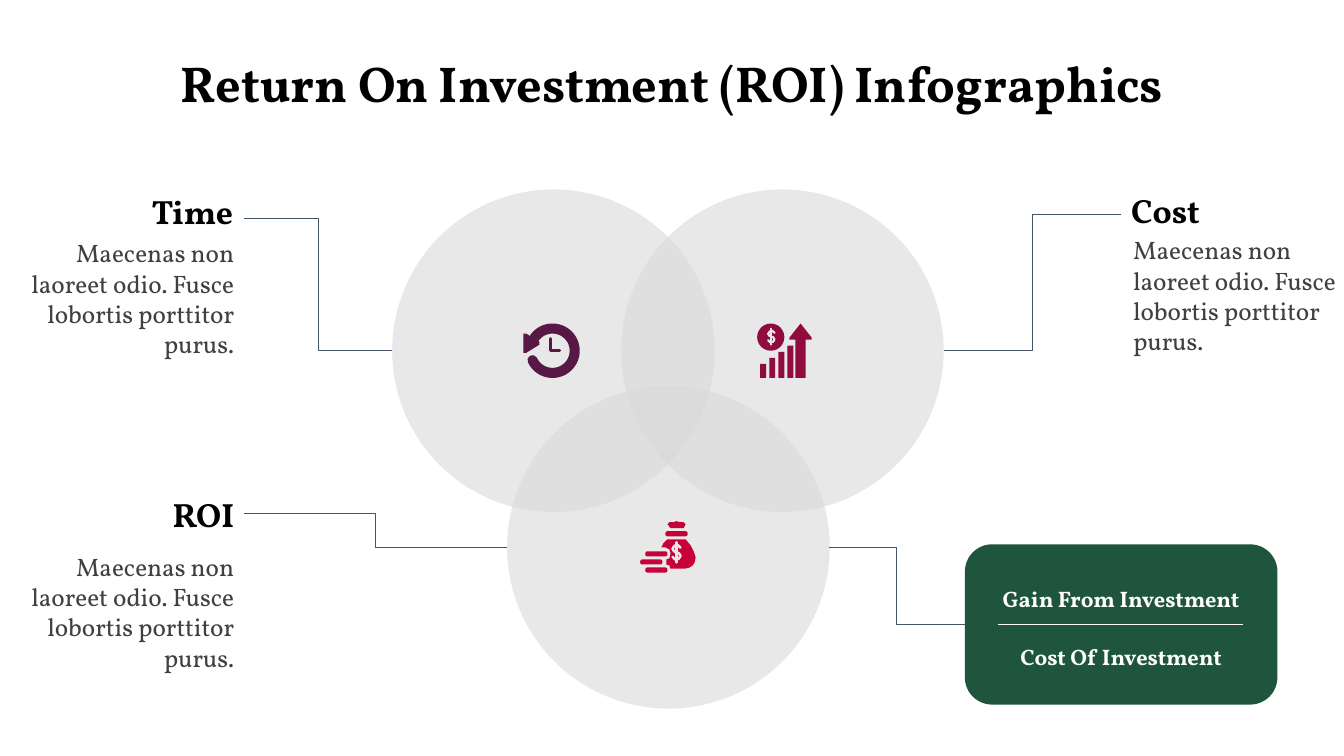
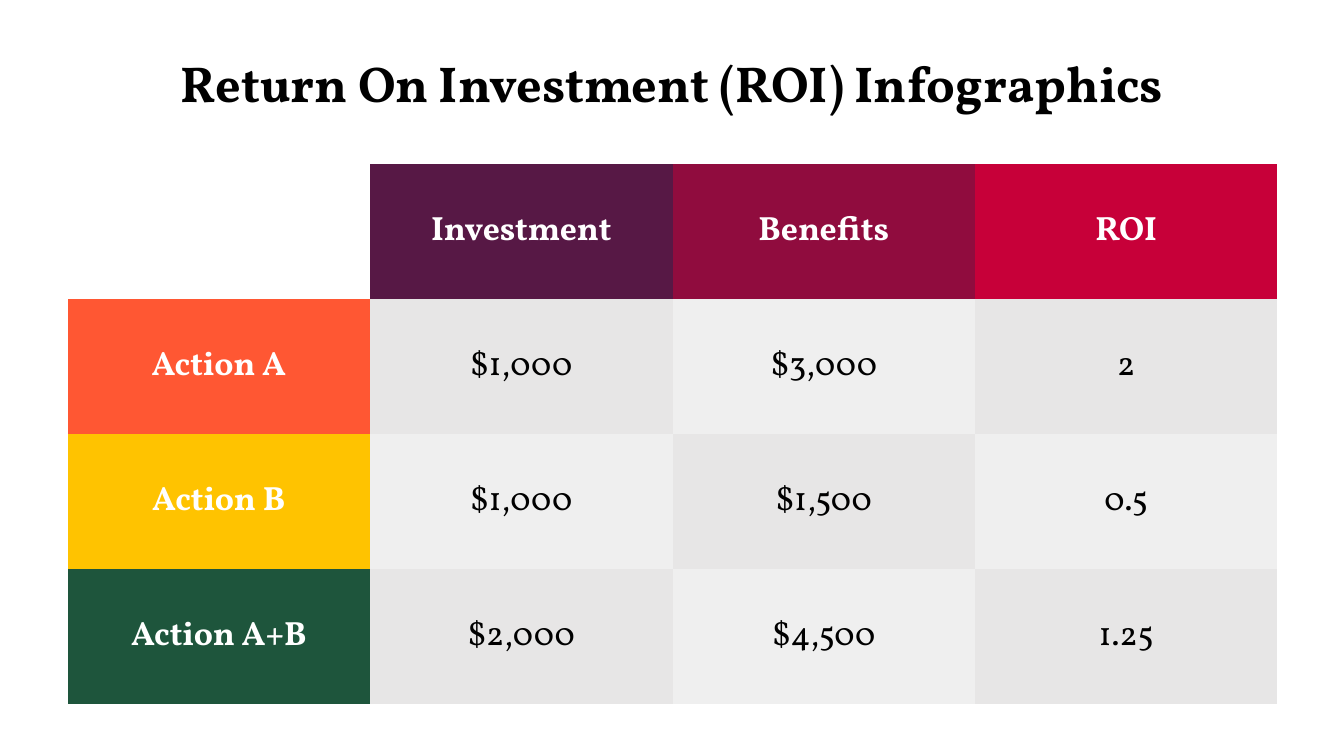
from math import cos, radians, sin

from pptx import Presentation
from pptx.dml.color import RGBColor
from pptx.enum.shapes import MSO_CONNECTOR, MSO_SHAPE
from pptx.enum.text import MSO_ANCHOR, PP_ALIGN
from pptx.oxml.ns import qn
from pptx.oxml.xmlchemy import OxmlElement
from pptx.util import Inches, Pt

LEFT, CENTER, RIGHT = PP_ALIGN.LEFT, PP_ALIGN.CENTER, PP_ALIGN.RIGHT
TOP, MIDDLE = MSO_ANCHOR.TOP, MSO_ANCHOR.MIDDLE
OVAL, RECT, ROUND = MSO_SHAPE.OVAL, MSO_SHAPE.RECTANGLE, MSO_SHAPE.ROUNDED_RECTANGLE
ELBOW, STRAIGHT = MSO_CONNECTOR.ELBOW, MSO_CONNECTOR.STRAIGHT

FONT = "Vollkorn"
BLACK = RGBColor(0x00, 0x00, 0x00)
WHITE = RGBColor(0xFF, 0xFF, 0xFF)
GRAY = RGBColor(0x40, 0x40, 0x40)
SLATE = RGBColor(0x44, 0x54, 0x6A)
DISC = RGBColor(0xD9, 0xD9, 0xD9)
PALE = RGBColor(0xE8, 0xE8, 0xE8)
DARK = RGBColor(0xE7, 0xE6, 0xE6)
LIGHT = RGBColor(0xEF, 0xEF, 0xEF)
PLUM = RGBColor(0x57, 0x18, 0x45)
WINE = RGBColor(0x90, 0x0C, 0x3E)
RED = RGBColor(0xC7, 0x00, 0x39)
ORANGE = RGBColor(0xFF, 0x57, 0x33)
YELLOW = RGBColor(0xFF, 0xC3, 0x00)
GREEN = RGBColor(0x1E, 0x55, 0x3C)

NO_STYLE = "{2D5ABB26-0587-4C30-8999-92F81FD0307C}"


def write(frame, words, size, color, bold, align, anchor):
    frame.word_wrap = True
    frame.vertical_anchor = anchor
    para = frame.paragraphs[0]
    para.text = words
    para.alignment = align
    font = para.font
    font.name, font.size, font.bold = FONT, Pt(size), bold
    font.color.rgb = color


def trace(shapes, points, color, width=None):
    """Draw a filled outline, or an open stroke when a width is given."""
    spots = [(Inches(x), Inches(y)) for x, y in points]
    pen = shapes.build_freeform(*spots[0])
    pen.add_line_segments(spots[1:], close=width is None)
    form = pen.convert_to_shape()
    form.shadow.inherit = False
    if width is None:
        form.fill.solid()
        form.fill.fore_color.rgb = color
        form.line.fill.background()
    else:
        form.fill.background()
        form.line.color.rgb = color
        form.line.width = Pt(width)
        form._element.spPr.find(qn("a:ln")).set("cap", "rnd")


prs = Presentation()
prs.slide_width, prs.slide_height = Inches(13.33), Inches(7.5)

# Both slides carry the same title
slides = []
for _ in range(2):
    slide = prs.slides.add_slide(prs.slide_layouts[5])
    title = slide.shapes.title
    title.left, title.top = Inches(0), Inches(0.47)
    title.width, title.height = Inches(13.33), Inches(0.71)
    write(title.text_frame, "Return On Investment (ROI) Infographics",
          36, BLACK, True, CENTER, TOP)
    slides.append(slide)

# Slide 1: discs, card and the plain parts of the icons
shapes = slides[0].shapes
parts = [(OVAL, x, y, 3.2, 3.2, DISC) for x, y in ((5.03, 3.83), (6.16, 1.88), (3.89, 1.88))]
parts.append((ROUND, 9.57, 5.4, 3.1, 1.59, GREEN))
parts.append((OVAL, 7.51, 3.21, 0.27, 0.27, WINE))
for i in range(4):
    parts.append((RECT, 7.54 + 0.09 * i, 3.61 - 0.06 * i, 0.06, 0.14 + 0.06 * i, WINE))
for x, y in ((6.6, 5.27), (6.4, 5.47), (6.35, 5.55), (6.4, 5.63)):
    parts.append((ROUND, x, y, 0.22, 0.05, RED))

for kind, x, y, w, h, color in parts:
    part = shapes.add_shape(kind, Inches(x), Inches(y), Inches(w), Inches(h))
    part.shadow.inherit = False
    part.fill.solid()
    part.fill.fore_color.rgb = color
    part.line.fill.background()
    if color == DISC:
        alpha = OxmlElement("a:alpha")
        alpha.set("val", "60000")
        part._element.spPr.find(qn("a:solidFill"))[0].append(alpha)
    elif kind == ROUND:
        part.adjustments[0] = 0.17 if color == GREEN else 0.4

# Clock icon
ring = [(5.48 + 0.22 * cos(radians(a)), 3.48 + 0.22 * sin(radians(a)))
        for a in range(215, 516, 5)]
trace(shapes, ring, PLUM, 7.2)
trace(shapes, [(5.19, 3.31), (5.22, 3.31), (5.35, 3.39), (5.35, 3.42),
               (5.22, 3.5), (5.19, 3.5)], PLUM)
trace(shapes, [(5.46, 3.36), (5.46, 3.48), (5.55, 3.48)], PLUM, 2.2)

# Growth arrow
trace(shapes, [(7.94, 3.21), (8.05, 3.35), (8.05, 3.37), (7.99, 3.37), (7.99, 3.75),
               (7.89, 3.75), (7.89, 3.37), (7.83, 3.37), (7.83, 3.35)], WINE)

# Money bag
trace(shapes, [(6.62, 5.35), (6.58, 5.39), (6.56, 5.43), (6.6, 5.43), (6.64, 5.45),
               (6.65, 5.48), (6.65, 5.5), (6.64, 5.54), (6.61, 5.55), (6.61, 5.6),
               (6.64, 5.61), (6.65, 5.64), (6.8, 5.64), (6.84, 5.63), (6.87, 5.61),
               (6.89, 5.58), (6.9, 5.53), (6.88, 5.47), (6.85, 5.41), (6.8, 5.35)], RED)
trace(shapes, [(6.64, 5.18), (6.68, 5.18), (6.71, 5.17), (6.74, 5.18), (6.78, 5.18),
               (6.8, 5.2), (6.78, 5.24), (6.65, 5.24), (6.62, 5.2)], RED)

# Dollar signs on coin and bag
CURVE = [(0.8, -0.45), (0.3, -0.7), (-0.4, -0.65), (-0.8, -0.35), (-0.5, -0.1),
         (0.5, 0.1), (0.8, 0.35), (0.4, 0.65), (-0.3, 0.7), (-0.8, 0.45)]
for x, y, size, width in ((7.65, 3.34, 0.08, 1.5), (6.71, 5.48, 0.1, 1.8)):
    for curve in (CURVE, [(0, -1), (0, 1)]):
        trace(shapes, [(x + 0.5 * size * u, y + size * v) for u, v in curve], PALE, width)

# Leader lines and fraction bar
for kind, x1, y1, x2, y2, color in (
    (ELBOW, 8.22, 5.43, 9.57, 6.2, SLATE),
    (ELBOW, 2.42, 5.09, 5.03, 5.43, SLATE),
    (ELBOW, 2.42, 2.17, 3.89, 3.48, SLATE),
    (ELBOW, 11.12, 2.13, 9.36, 3.48, SLATE),
    (STRAIGHT, 9.9, 6.2, 12.33, 6.2, WHITE),
):
    line = shapes.add_connector(kind, Inches(x1), Inches(y1), Inches(x2), Inches(y2))
    line.line.color.rgb = color
    line.line.width = Pt(0.75)
    line._element.spPr.append(OxmlElement("a:effectLst"))

# Headings, notes and fraction
NOTE = "Maecenas non laoreet odio. Fusce lobortis porttitor purus."
for words, x, y, w, h, size, color, align in (
    ("Time", 0.58, 1.88, 1.83, 0.42, 24, BLACK, RIGHT),
    ("ROI", 0.67, 4.87, 1.75, 0.45, 24, BLACK, RIGHT),
    ("Cost", 11.12, 1.88, 1.55, 0.41, 24, BLACK, LEFT),
    ("Gain From Investment", 9.75, 5.69, 2.74, 0.49, 16, WHITE, CENTER),
    ("Cost Of Investment", 9.75, 6.27, 2.74, 0.49, 16, WHITE, CENTER),
    (NOTE, 0.04, 2.31, 2.38, 1.31, 18, GRAY, RIGHT),
    (NOTE, 0.04, 5.42, 2.38, 1.31, 18, GRAY, RIGHT),
    (NOTE, 11.14, 2.28, 2.38, 1.31, 18, GRAY, LEFT),
):
    box = shapes.add_textbox(Inches(x), Inches(y), Inches(w), Inches(h))
    note = words == NOTE
    write(box.text_frame, words, size, color, not note, align, TOP if note else MIDDLE)
    if not note:
        box.text_frame.margin_top = box.text_frame.margin_bottom = Inches(0.1)

# Slide 2: table with coloured heads and a checkered body
ROWS = [
    ["", "Investment", "Benefits", "ROI"],
    ["Action A", "$1,000", "$3,000", "2"],
    ["Action B", "$1,000", "$1,500", "0.5"],
    ["Action A+B", "$2,000", "$4,500", "1.25"],
]
TOPS = [None, PLUM, WINE, RED]
SIDES = [None, ORANGE, YELLOW, GREEN]

frame = slides[1].shapes.add_table(4, 4, Inches(0.67), Inches(1.63), Inches(12), Inches(5.36))
for style in frame._element.iter(qn("a:tableStyleId")):
    style.text = NO_STYLE
table = frame.table
table.first_row = table.horz_banding = False
for r, row in enumerate(ROWS):
    for c, words in enumerate(row):
        cell = table.cell(r, c)
        if not words:
            cell.fill.background()
            continue
        head = r == 0 or c == 0
        cell.fill.solid()
        if head:
            cell.fill.fore_color.rgb = TOPS[c] or SIDES[r]
        else:
            cell.fill.fore_color.rgb = LIGHT if (r + c) % 2 else DARK
        cell.margin_left = cell.margin_right = Inches(0.13)
        cell.margin_top = cell.margin_bottom = Inches(0.13)
        write(cell.text_frame, words, 24, WHITE if head else BLACK, head, CENTER, MIDDLE)
        cell.vertical_anchor = MIDDLE

prs.save("out.pptx")
